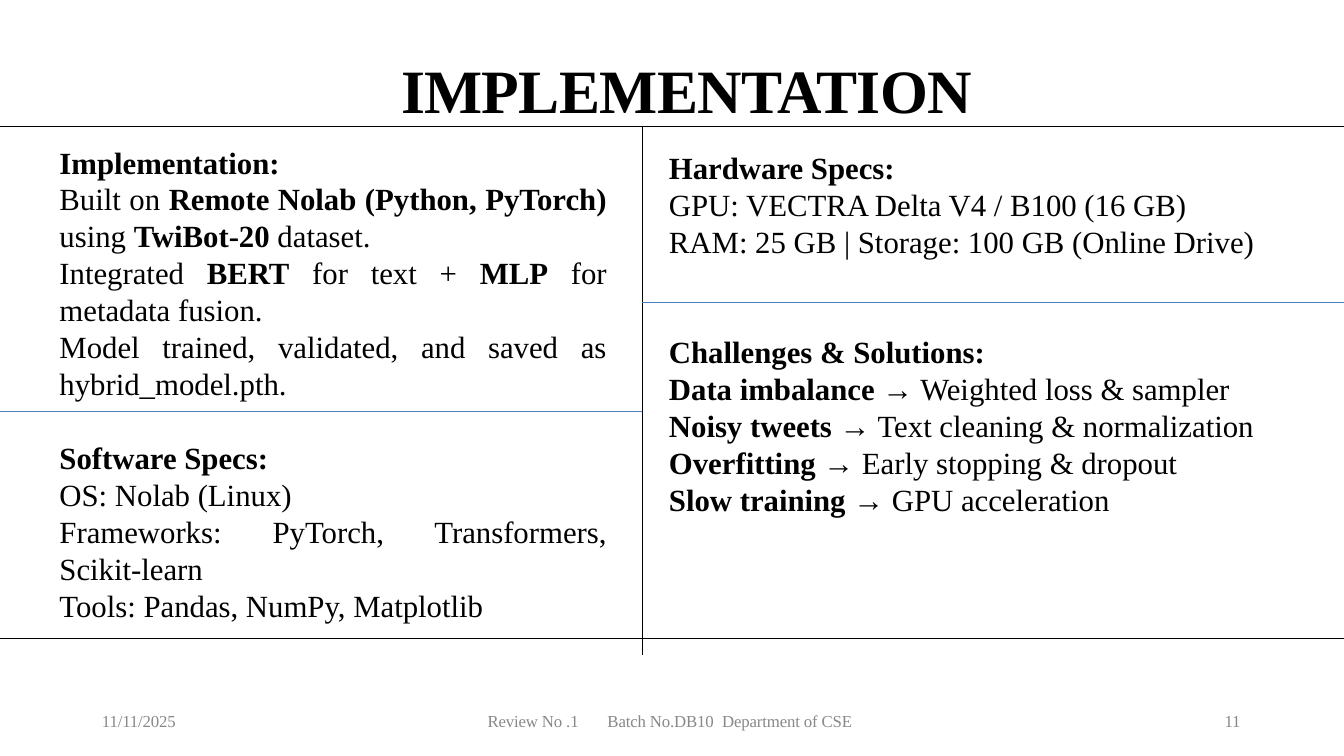
import pptx
import pptx.dml.color
import pptx.enum.shapes
import pptx.enum.text
import pptx.oxml
import pptx.util

Cm = pptx.util.Cm
Pt = pptx.util.Pt
RGBColor = pptx.dml.color.RGBColor
ALIGN = pptx.enum.text.PP_ALIGN

BLACK = RGBColor(0x00, 0x00, 0x00)
GREY = RGBColor(0x88, 0x88, 0x88)
BLUE = RGBColor(0x4B, 0x7E, 0xBC)

WIDTH, HEIGHT = 33.87, 19.05
SPLIT, TOP, BOTTOM = 16.18, 3.18, 16.08
EFFECTS = '<a:effectLst xmlns:a="http://schemas.openxmlformats.org/drawingml/2006/main"/>'


class SlideBuilder:
    """Hold the text styles and the current slide, and add its elements."""

    title = {"font": {"size": Pt(44), "bold": True}, "color": BLACK,
             "paragraph": {"alignment": ALIGN.LEFT}}
    body = {"font": {"size": Pt(22)}, "color": BLACK,
            "paragraph": {"alignment": ALIGN.JUSTIFY}}
    footer = {"font": {"size": Pt(12)}, "color": GREY,
              "paragraph": {"alignment": ALIGN.LEFT, "line_spacing": Pt(14.1)}}

    def __init__(self, slide):
        self.slide = slide

    def text(self, box, sections, style, gap=0, spacing=0):
        """Add sections of lines, with bold parts between double asterisks."""
        frame = self.slide.shapes.add_textbox(*map(Cm, box)).text_frame
        margins = dict.fromkeys(("margin_left", "margin_top", "margin_right", "margin_bottom"), 0)
        for name, value in {"word_wrap": True, **margins}.items():
            setattr(frame, name, value)
        paragraph = frame.paragraphs[0]
        for section_index, section in enumerate(sections):
            for line_index, line in enumerate(section):
                if section_index or line_index:
                    paragraph = frame.add_paragraph()
                for name, value in style["paragraph"].items():
                    setattr(paragraph, name, value)
                if section_index and not line_index:
                    paragraph.space_before = Pt(gap)
                self.runs(paragraph, line, style, spacing)

    def runs(self, paragraph, line, style, spacing):
        """Split a line into plain and bold runs."""
        for index, part in enumerate(line.split("**")):
            if not part:
                continue
            run = paragraph.add_run()
            run.text = part
            font = {"name": "Times New Roman", "bold": index % 2 == 1, **style["font"]}
            for name, value in font.items():
                setattr(run.font, name, value)
            run.font.color.rgb = style["color"]
            if spacing:
                run.font._element.set("spc", str(spacing))

    def rule(self, start, end, color):
        """Add a thin straight line."""
        line = self.slide.shapes.add_connector(
            pptx.enum.shapes.MSO_CONNECTOR.STRAIGHT, *map(Cm, start + end))
        line.line.color.rgb = color
        line.line.width = Pt(0.75)
        line._element.spPr.append(pptx.oxml.parse_xml(EFFECTS))


def main():
    """Build the implementation slide."""
    deck = pptx.Presentation()
    deck.slide_width, deck.slide_height = Cm(WIDTH), Cm(HEIGHT)
    builder = SlideBuilder(deck.slides.add_slide(deck.slide_layouts[6]))

    builder.text((10.11, 1.3, 20.8, 2), [["IMPLEMENTATION"]], builder.title, spacing=-50)

    implementation = [
        "**Implementation:**",
        "Built on **Remote Nolab (Python, PyTorch)** using **TwiBot-20** dataset.",
        "Integrated **BERT** for text + **MLP** for metadata fusion.",
        "Model trained, validated, and saved as hybrid_model.pth.",
    ]
    software = [
        "**Software Specs:**",
        "OS: Nolab (Linux)",
        "Frameworks: PyTorch, Transformers, Scikit-learn",
        "Tools: Pandas, NumPy, Matplotlib",
    ]
    hardware = [
        "**Hardware Specs:**",
        "GPU: VECTRA Delta V4 / B100 (16 GB)",
        "RAM: 25 GB | Storage: 100 GB (Online Drive)",
    ]
    challenges = [
        "**Challenges & Solutions:**",
        "**Data imbalance →** Weighted loss & sampler",
        "**Noisy tweets →** Text cleaning & normalization",
        "**Overfitting →** Early stopping & dropout",
        "**Slow training →** GPU acceleration",
    ]
    builder.text((1.5, 3.61, 13.79, 12.2), [implementation, software], builder.body, gap=26.4)
    builder.text((16.86, 3.74, 16.43, 9.4), [hardware, challenges], builder.body, gap=52.8)

    for left, width, label in (
        (2.57, 2.5, "11/11/2025"),
        (12.29, 2.6, "Review No .1"),
        (15.31, 2.85, "Batch No.DB10"),
        (18.2, 3.6, "Department of CSE"),
        (30.86, 0.8, "11"),
    ):
        builder.text((left, 17.91, width, 0.53), [[label]], builder.footer, spacing=-10)

    for start, end, color in (
        ((0, TOP), (WIDTH, TOP), BLACK),
        ((0, BOTTOM), (WIDTH, BOTTOM), BLACK),
        ((SPLIT, TOP), (SPLIT, 16.51), BLACK),
        ((0, 10.36), (SPLIT, 10.36), BLUE),
        ((SPLIT, 7.62), (WIDTH, 7.62), BLUE),
    ):
        builder.rule(start, end, color)

    deck.save("out.pptx")


if __name__ == "__main__":
    main()
